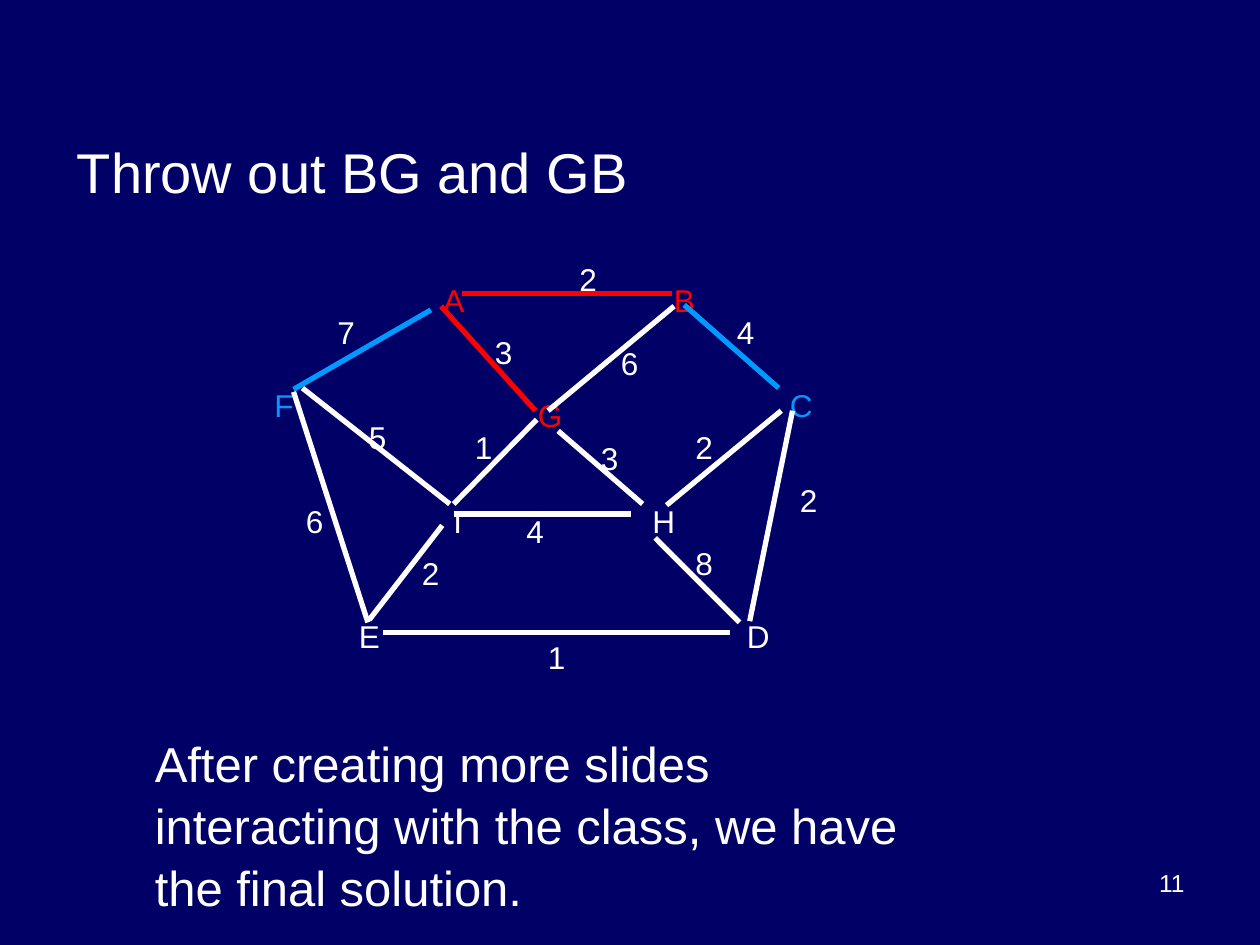
from dataclasses import dataclass

from lxml import etree
from pptx import Presentation
from pptx.dml.color import RGBColor
from pptx.enum.shapes import MSO_CONNECTOR
from pptx.enum.text import MSO_ANCHOR, PP_ALIGN
from pptx.oxml.ns import qn
from pptx.util import Inches, Pt

STRAIGHT = MSO_CONNECTOR.STRAIGHT
MIDDLE = MSO_ANCHOR.MIDDLE
LEFT, RIGHT = PP_ALIGN.LEFT, PP_ALIGN.RIGHT


@dataclass(frozen=True)
class Theme:
    font: str = "Arial"
    back: RGBColor = RGBColor(0x00, 0x00, 0x66)
    white: RGBColor = RGBColor(0xFF, 0xFF, 0xFF)
    red: RGBColor = RGBColor(0xFF, 0x00, 0x00)
    blue: RGBColor = RGBColor(0x00, 0x99, 0xFF)
    title: int = 32
    body: int = 28
    label: int = 18
    page: int = 14
    line: int = 3
    lead: float = 1.05


THEME = Theme()

NODES = [
    ("D", 3.75, 2.83, THEME.white),
    ("E", 0.67, 2.83, THEME.white),
    ("H", 3, 1.92, THEME.white),
    ("I", 1.42, 1.92, THEME.white),
    ("F", 0, 1, THEME.blue),
    ("C", 4.09, 1, THEME.blue),
    ("G", 2.09, 1.08, THEME.red),
    ("B", 3.17, 0.17, THEME.red),
    ("A", 1.34, 0.17, THEME.red),
]

EDGES = [
    (1.59, 0.33, 3.25, 0.33, THEME.red),
    (0.32, 1.08, 1.49, 2, THEME.white),
    (0.25, 1.09, 1.34, 0.46, THEME.blue),
    (1.42, 0.43, 2.17, 1.26, THEME.red),
    (3.27, 0.43, 2.27, 1.26, THEME.white),
    (2.18, 1.33, 1.52, 2, THEME.white),
    (2.35, 1.42, 3.02, 2, THEME.white),
    (3.35, 0.42, 4.1, 1.08, THEME.blue),
    (4.12, 1.26, 3.21, 2.01, THEME.white),
    (4.21, 1.26, 3.87, 2.93, THEME.white),
    (3.12, 2.27, 3.79, 2.94, THEME.white),
    (1.52, 2.08, 2.93, 2.08, THEME.white),
    (1.43, 2.17, 0.85, 2.92, THEME.white),
    (0.25, 1.11, 0.84, 2.94, THEME.white),
    (0.96, 3.02, 3.71, 3.02, THEME.white),
]

COSTS = [
    ("8", 3.34, 2.25), ("6", 0.25, 1.92), ("5", 0.75, 1.25),
    ("3", 2.59, 1.42), ("3", 1.75, 0.58), ("2", 1.17, 2.33),
    ("2", 4.17, 1.75), ("2", 2.42, 0), ("1", 1.59, 1.33),
    ("6", 2.75, 0.67), ("1", 2.17, 3), ("4", 2, 2),
    ("2", 3.34, 1.33), ("4", 3.67, 0.42), ("7", 0.5, 0.42),
]


def write(frame, text, size, color, align=LEFT):
    frame.word_wrap = True
    para = frame.paragraphs[0]
    para.alignment = align
    run = para.add_run()
    run.text = text
    run.font.name = THEME.font
    run.font.size = Pt(size)
    run.font.color.rgb = color
    return para


def add_text(slide, box, text, size, color=THEME.white, align=LEFT):
    shape = slide.shapes.add_textbox(*map(Inches, box))
    para = write(shape.text_frame, text, size, color, align)
    para.line_spacing = THEME.lead


def add_edge(slide, ends, color):
    edge = slide.shapes.add_connector(STRAIGHT, *map(Inches, ends))
    edge.line.color.rgb = color
    edge.line.width = Pt(THEME.line)
    etree.SubElement(edge.line._get_or_add_ln().getparent(), qn("a:effectLst"))


def add_title(slide, box, text):
    title = slide.shapes.title
    title.left, title.top, title.width, title.height = map(Inches, box)
    title.text_frame.vertical_anchor = MIDDLE
    write(title.text_frame, text, THEME.title, THEME.white)


def add_graph(slide, left, top):
    def label(text, x, y, color):
        box = (left + x, top + y, 0.42, 0.4)
        add_text(slide, box, text, THEME.label, color)

    for name, x, y, color in NODES:
        label(name, x, y, color)
    for x1, y1, x2, y2, color in EDGES:
        add_edge(slide, (left + x1, top + y1, left + x2, top + y2), color)
    for cost, x, y in COSTS:
        label(cost, x, y, THEME.white)


def main():
    deck = Presentation()
    deck.slide_width, deck.slide_height = Inches(10), Inches(7.5)
    slide = deck.slides.add_slide(deck.slide_layouts[5])
    fill = slide.background.fill
    fill.solid()
    fill.fore_color.rgb = THEME.back

    add_text(slide, (7.17, 6.83, 2.33, 0.52), "11", THEME.page, align=RIGHT)
    add_title(slide, (0.51, 0.92, 9, 0.87), "Throw out BG and GB")
    add_graph(slide, 2.08, 2)
    note = ("After creating more slides interacting with the class, "
            "we have the final solution.")
    add_text(slide, (1.13, 5.75, 6.25, 1.5), note, THEME.body)
    deck.save("out.pptx")


if __name__ == "__main__":
    main()
